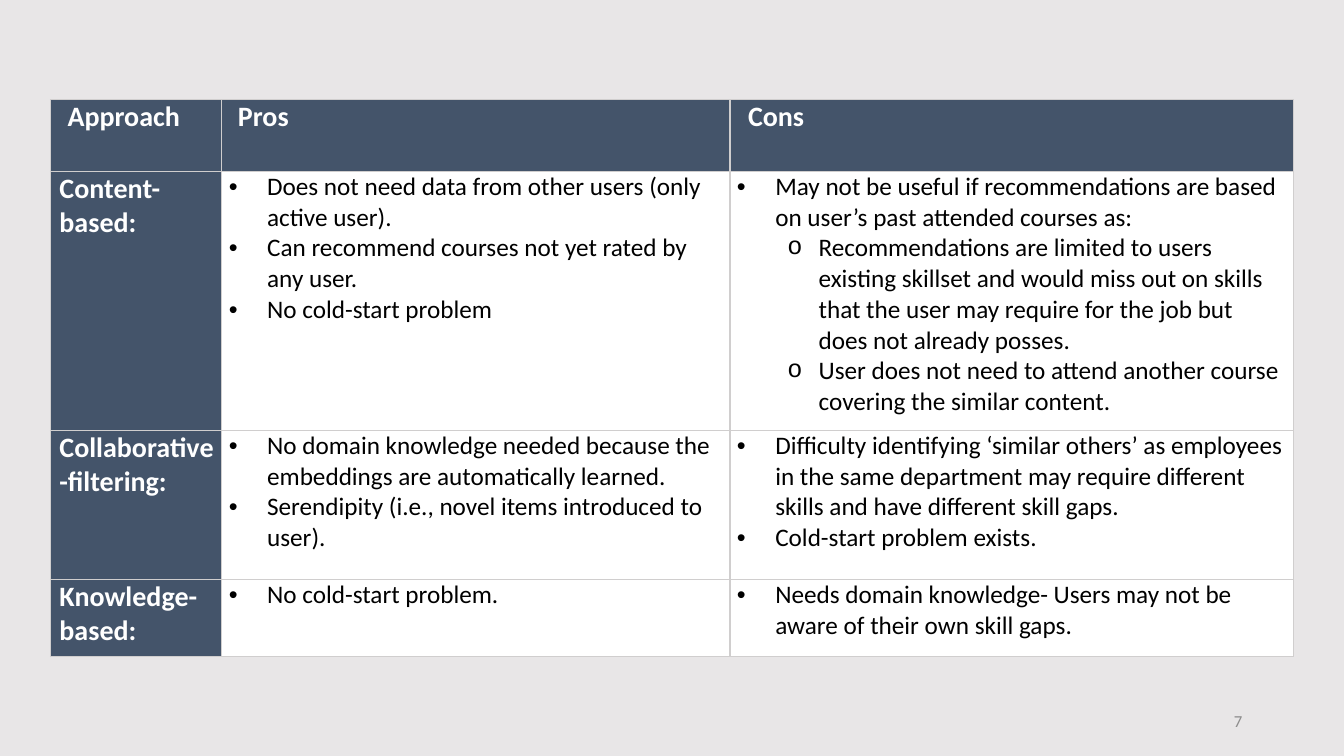
from dataclasses import dataclass

from lxml.etree import SubElement
from pptx import Presentation
from pptx.dml.color import RGBColor
from pptx.enum.text import MSO_ANCHOR, PP_ALIGN as Align
from pptx.oxml.ns import qn
from pptx.util import Emu, Pt

EMU_PER_PX = 9144  # 100 px to the inch
FONT = "Calibri"
NAVY, WHITE, BLACK = "44546A", "FFFFFF", "000000"
BACKGROUND, BORDER, PAGE_GREY = "E8E6E7", "D0CECE", "8C8C8C"
COLUMN_WIDTHS = (170, 504, 559)
ROW_HEIGHTS = (71, 257, 148, 76)


@dataclass(frozen=True)
class Style:
    size: int
    colour: str
    bold: bool = False
    align: Align = Align.LEFT
    margin: int = 0
    indent: int = 0
    level: int = 0
    bullet: str = ""
    bullet_font: str = "Arial"


@dataclass(frozen=True)
class Line:
    text: str
    style: Style


def heading(text: str, margin: int = 0, indent: int = 0) -> list[Line]:
    return [Line(text, Style(20, WHITE, True, Align.JUSTIFY, margin, indent))]


POINT = Style(18, BLACK, margin=38, indent=-38, bullet="•")
SUBPOINT = Style(18, BLACK, margin=81, indent=-31, level=1,
                 bullet="o", bullet_font="Courier New")
PAGE = Style(12, PAGE_GREY, align=Align.RIGHT)


def points(*texts: str) -> list[Line]:
    return [Line(text, POINT) for text in texts]


def subpoints(*texts: str) -> list[Line]:
    return [Line(text, SUBPOINT) for text in texts]


ROWS = [
    [heading("Approach", indent=10), heading("Pros", indent=9), heading("Cons", indent=11)],
    [
        heading("Content- based:", margin=2),
        points("Does not need data from other users (only active user).",
               "Can recommend courses not yet rated by any user.",
               "No cold-start problem"),
        points("May not be useful if recommendations are based on user’s past "
               "attended courses as:")
        + subpoints("Recommendations are limited to users existing skillset and would miss "
                    "out on skills that the user may require for the job but does not "
                    "already posses.",
                    "User does not need to attend another course covering the similar "
                    "content."),
    ],
    [
        heading("Collaborative-filtering:", margin=2),
        points("No domain knowledge needed because the embeddings are automatically learned.",
               "Serendipity (i.e., novel items introduced to user)."),
        points("Difficulty identifying ‘similar others’ as employees in the same department "
               "may require different skills and have different skill gaps.",
               "Cold-start problem exists."),
    ],
    [
        heading("Knowledge- based:", margin=2),
        points("No cold-start problem."),
        points("Needs domain knowledge- Users may not be aware of their own skill gaps."),
    ],
]


def px(length: int) -> Emu:
    return Emu(length * EMU_PER_PX)


def rgb(colour: str) -> RGBColor:
    return RGBColor.from_string(colour)


def write_lines(frame, lines: list[Line]) -> None:
    frame.text = "\n".join(line.text for line in lines)
    for paragraph, line in zip(frame.paragraphs, lines):
        style = line.style
        paragraph.alignment = style.align
        paragraph.level = style.level
        properties = paragraph._p.get_or_add_pPr()
        properties.set("marL", str(px(style.margin)))
        properties.set("indent", str(px(style.indent)))
        if style.bullet:
            SubElement(properties, qn("a:buFont"), typeface=style.bullet_font)
            SubElement(properties, qn("a:buChar"), char=style.bullet)
        for run in paragraph.runs:
            run.font.name = FONT
            run.font.size = Pt(style.size)
            run.font.bold = style.bold
            run.font.color.rgb = rgb(style.colour)


def add_borders(cell) -> None:
    """Outline a cell; call before filling, as the fill must follow the lines."""
    properties = cell._tc.get_or_add_tcPr()
    for side in ("a:lnL", "a:lnR", "a:lnT", "a:lnB"):
        edge = SubElement(properties, qn(side), w=str(Pt(1)))
        SubElement(SubElement(edge, qn("a:solidFill")), qn("a:srgbClr"), val=BORDER)


def add_comparison(slide) -> None:
    table = slide.shapes.add_table(
        len(ROW_HEIGHTS), len(COLUMN_WIDTHS), px(50), px(99),
        px(sum(COLUMN_WIDTHS)), px(sum(ROW_HEIGHTS))).table
    table.horz_banding = False
    for column, width in zip(table.columns, COLUMN_WIDTHS):
        column.width = px(width)
    for row, height in zip(table.rows, ROW_HEIGHTS):
        row.height = px(height)
    for row_index, row in enumerate(ROWS):
        for column_index, lines in enumerate(row):
            cell = table.cell(row_index, column_index)
            cell.margin_left = cell.margin_right = px(7)
            cell.margin_top = cell.margin_bottom = 0
            add_borders(cell)
            cell.fill.solid()
            is_header = row_index == 0 or column_index == 0
            cell.fill.fore_color.rgb = rgb(NAVY if is_header else WHITE)
            write_lines(cell.text_frame, lines)


def add_page_number(slide) -> None:
    frame = slide.shapes.add_textbox(px(942), px(695), px(300), px(40)).text_frame
    frame.word_wrap = True
    frame.vertical_anchor = MSO_ANCHOR.MIDDLE
    write_lines(frame, [Line("7", PAGE)])


def main() -> None:
    deck = Presentation()
    deck.slide_width, deck.slide_height = px(1333), px(750)
    slide = deck.slides.add_slide(deck.slide_layouts[6])
    slide.background.fill.solid()
    slide.background.fill.fore_color.rgb = rgb(BACKGROUND)
    add_comparison(slide)
    add_page_number(slide)
    deck.save("out.pptx")


if __name__ == "__main__":
    main()
